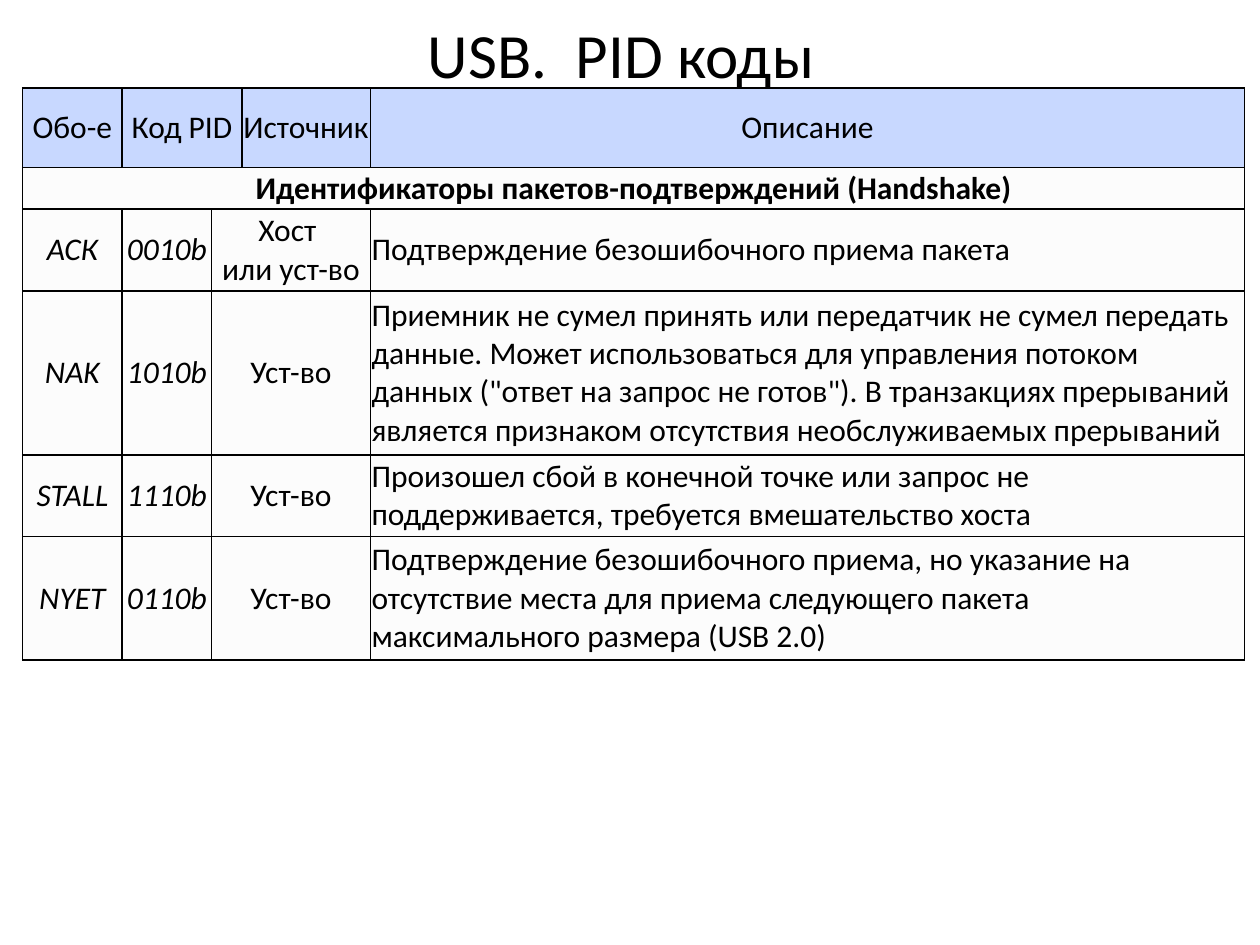
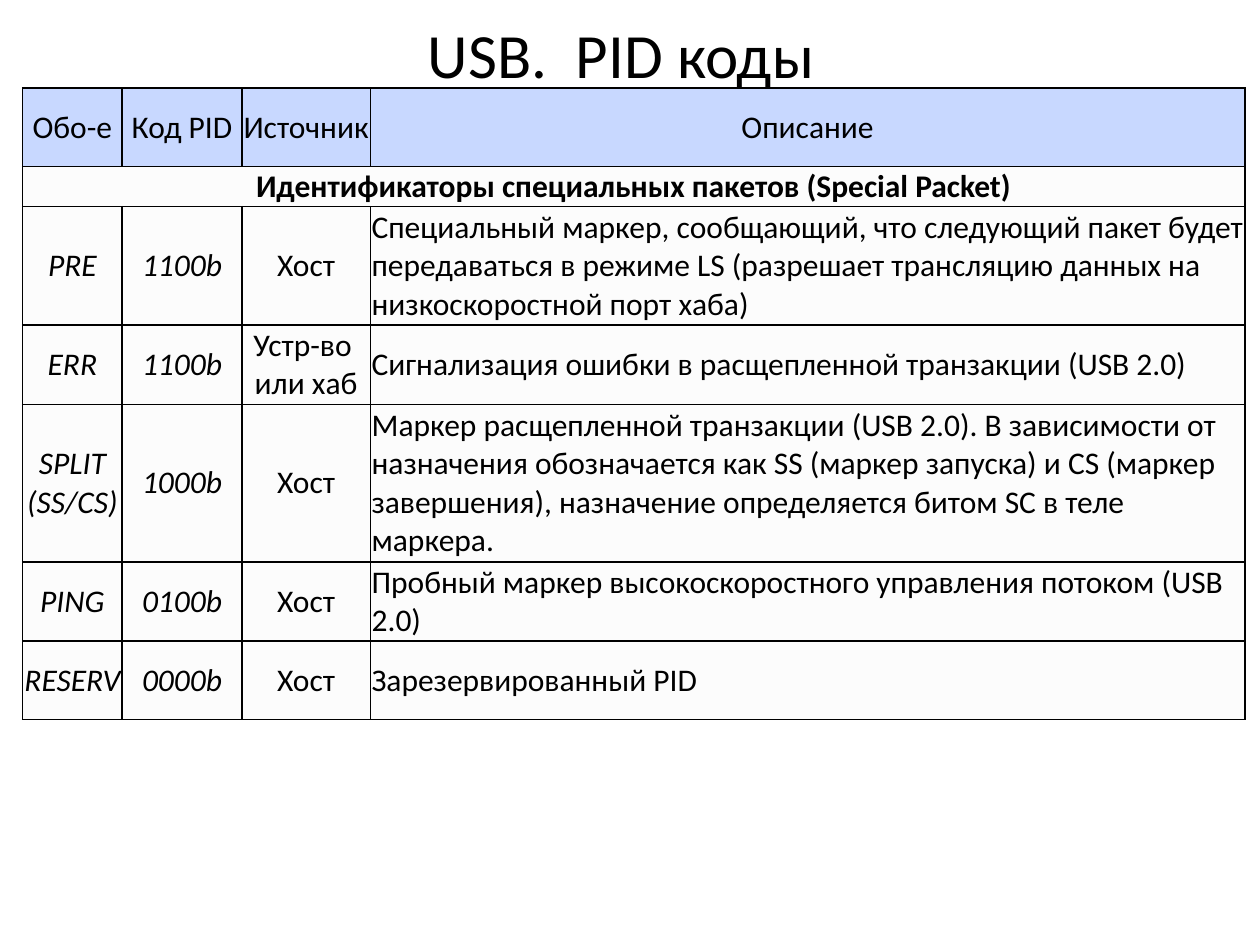
from dataclasses import dataclass
from typing import Optional

import pptx
import pptx.dml.color
import pptx.enum.text
import pptx.oxml
import pptx.oxml.ns
import pptx.util

Inches = pptx.util.Inches
Pt = pptx.util.Pt
RGBColor = pptx.dml.color.RGBColor
Align = pptx.enum.text.PP_ALIGN
MIDDLE = pptx.enum.text.MSO_ANCHOR.MIDDLE

BLACK = RGBColor(0x00, 0x00, 0x00)
BLUE = RGBColor(0xC8, 0xD8, 0xFF)
PALE = RGBColor(0xFC, 0xFC, 0xFC)
FONT = "Calibri"
TITLE = "USB.  PID коды"
SIDES = ("lnL", "lnR", "lnT", "lnB")

Cells = tuple[Optional[str], ...]


@dataclass(frozen=True)
class Row:
    height: float
    cells: Cells


@dataclass(frozen=True)
class Sheet:
    widths: tuple[float, ...]
    head: Row
    group: Row
    codes: tuple[Row, ...]


@dataclass(frozen=True)
class Style:
    fill: RGBColor
    align: Align = Align.CENTER
    bold: bool = False
    italic: bool = False


HEAD = Style(BLUE)
GROUP = Style(PALE, bold=True)
CODE = Style(PALE, italic=True)
SOURCE = Style(PALE)
NOTE = Style(PALE, Align.LEFT)

SHEETS = (
    Sheet(
        (0.79, 0.71, 0.24, 1.02, 6.94),
        Row(0.63, ("Обо-е", "Код PID", None, "Источник", "Описание")),
        Row(0.33, ("Идентификаторы пакетов-подтверждений (Handshake)",
                   None, None, None, None)),
        (
            Row(0.65, ("АСК", "0010b", "Хост \nили уст-во", None,
                       "Подтверждение безошибочного приема пакета")),
            Row(1.3, ("NAK", "1010b", "Уст-во", None,
                      "Приемник не сумел принять или передатчик не сумел передать "
                      "данные. Может использоваться для управления потоком данных "
                      "(\"ответ на запрос не готов\"). В транзакциях прерываний "
                      "является признаком отсутствия необслуживаемых прерываний")),
            Row(0.65, ("STALL", "1110b", "Уст-во", None,
                       "Произошел сбой в конечной точке или запрос не "
                       "поддерживается, требуется вмешательство хоста")),
            Row(0.98, ("NYET", "0110b", "Уст-во", None,
                       "Подтверждение безошибочного приема, но указание на "
                       "отсутствие места для приема следующего пакета "
                       "максимального размера (USB 2.0)")),
        ),
    ),
    Sheet(
        (0.79, 0.95, 1.02, 6.94),
        Row(0.62, ("Обо-е", "Код PID", "Источник", "Описание")),
        Row(0.32, ("Идентификаторы специальных пакетов (Special Packet)",
                   None, None, None)),
        (
            Row(0.94, ("PRE", "1100b", "Хост",
                       "Специальный маркер, сообщающий, что следующий пакет будет "
                       "передаваться в режиме LS (разрешает трансляцию данных на "
                       "низкоскоростной порт хаба)")),
            Row(0.63, ("ERR", "1100b", "Устр-во \nили хаб",
                       "Сигнализация ошибки в расщепленной транзакции (USB 2.0)")),
            Row(1.25, ("SPLIT (SS/CS)", "1000b", "Хост",
                       "Маркер расщепленной транзакции (USB 2.0). В зависимости от "
                       "назначения обозначается как SS (маркер запуска) и CS (маркер "
                       "завершения), назначение определяется битом SC в теле маркера.")),
            Row(0.63, ("PING", "0100b", "Хост",
                       "Пробный маркер высокоскоростного управления потоком (USB 2.0)")),
            Row(0.62, ("RESERV", "0000b", "Хост", "Зарезервированный PID")),
        ),
    ),
)


def write(para, text: str, size: int, style: Style) -> None:
    para.text = text
    para.alignment = style.align
    font = para.font
    font.name = FONT
    font.size = Pt(size)
    font.bold = style.bold
    font.italic = style.italic
    font.color.rgb = BLACK


def frame(cell) -> None:
    props = cell._tc.get_or_add_tcPr()
    for side in SIDES:
        props.append(pptx.oxml.parse_xml(
            f'<a:{side} {pptx.oxml.ns.nsdecls("a")} w="{Pt(1)}">'
            f'<a:solidFill><a:srgbClr val="{BLACK}"/></a:solidFill></a:{side}>'))


def add_title(slide) -> None:
    box = slide.shapes.add_textbox(Inches(0.43), Inches(0.18), Inches(9), Inches(0.49))
    text = box.text_frame
    text.word_wrap = True
    text.vertical_anchor = MIDDLE
    text.margin_top = text.margin_bottom = 0
    write(text.paragraphs[0], TITLE, 36, HEAD)


def fill_row(grid, index: int, row: Row, styles: tuple[Style, ...]) -> None:
    grid.rows[index].height = Inches(row.height)
    start = 0
    for col, (text, style) in enumerate(zip(row.cells, styles)):
        cell = grid.cell(index, col)
        frame(cell)
        cell.fill.solid()
        cell.fill.fore_color.rgb = style.fill
        cell.vertical_anchor = MIDDLE
        cell.margin_left = cell.margin_right = Inches(0.01)
        cell.margin_top = cell.margin_bottom = 0
        if text is not None:
            start = col
            write(cell.text_frame.paragraphs[0], text, 18, style)
        if col > start and (col + 1 == len(row.cells) or row.cells[col + 1] is not None):
            grid.cell(index, start).merge(cell)


def add_grid(slide, sheet: Sheet) -> None:
    rows = (sheet.head, sheet.group, *sheet.codes)
    count = len(sheet.widths)
    grid = slide.shapes.add_table(
        len(rows), count, Inches(0.18), Inches(0.7),
        Inches(sum(sheet.widths)), Inches(sum(row.height for row in rows))).table
    grid.first_row = grid.horz_banding = False
    for col, width in zip(grid.columns, sheet.widths):
        col.width = Inches(width)
    body = (CODE, CODE, *(SOURCE,) * (count - 3), NOTE)
    plans = ((HEAD,) * count, (GROUP,) * count, *(body,) * len(sheet.codes))
    for index, (row, styles) in enumerate(zip(rows, plans)):
        fill_row(grid, index, row, styles)


def main() -> None:
    deck = pptx.Presentation()
    deck.slide_width = Inches(10)
    deck.slide_height = Inches(7.5)
    for sheet in SHEETS:
        slide = deck.slides.add_slide(deck.slide_layouts[6])
        add_title(slide)
        add_grid(slide, sheet)
    deck.save("out.pptx")


if __name__ == "__main__":
    main()
